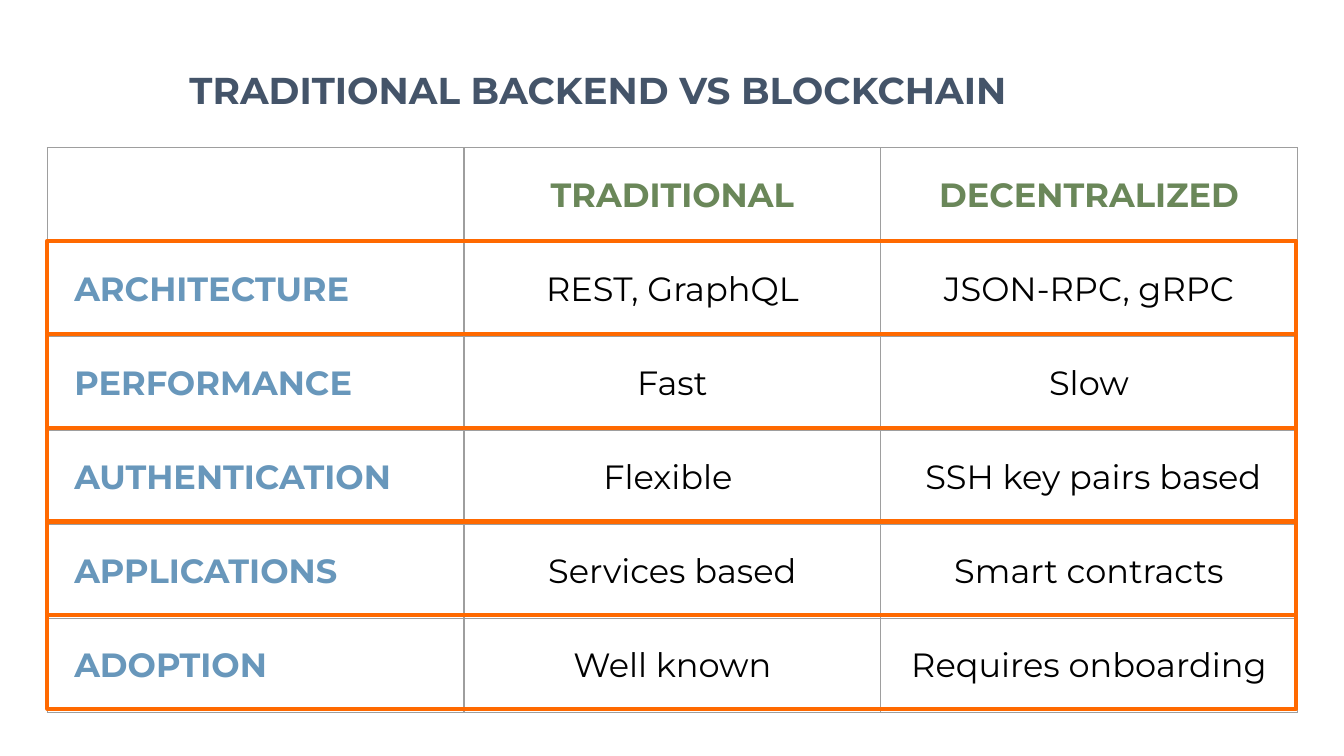
from dataclasses import dataclass

import pptx
import pptx.dml.color
import pptx.enum.shapes
import pptx.enum.text
import pptx.oxml
import pptx.oxml.ns
import pptx.presentation
import pptx.slide
import pptx.table
import pptx.text.text
import pptx.util

Pt = pptx.util.Pt
Align = pptx.enum.text.PP_ALIGN


@dataclass(frozen=True)
class Theme:
    font: str = "Montserrat"
    title: str = "445469"
    heading: str = "6A8759"
    label: str = "6897BB"
    body: str = "000000"
    grid: str = "9E9E9E"
    frame: str = "FF6900"
    title_size: float = 20
    table_size: float = 18
    grid_width: float = 0.75
    frame_width: float = 2.25


@dataclass(frozen=True)
class Grid:
    left: float
    top: float
    column_width: float
    row_height: float
    inset: float


@dataclass(frozen=True)
class Comparison:
    topic: str
    traditional: str
    decentralized: str


THEME = Theme()
GRID = Grid(left=25.4, top=79.2, column_width=223.2, row_height=50.4, inset=14.4)
FRAME_TOP, FRAME_STEP, FRAME_WIDTH = 129, 50.15, 669
HEADINGS = ("", "TRADITIONAL", "DECENTRALIZED")
COMPARISONS = (
    Comparison("ARCHITECTURE", "REST, GraphQL", "JSON-RPC, gRPC"),
    Comparison("PERFORMANCE", "Fast", "Slow"),
    Comparison("AUTHENTICATION", "Flexible ", " SSH key pairs based"),
    Comparison("APPLICATIONS", "Services based", "Smart contracts"),
    Comparison("ADOPTION", "Well known", "Requires onboarding"),
)


def rgb(color: str) -> pptx.dml.color.RGBColor:
    return pptx.dml.color.RGBColor.from_string(color)


def write(frame: pptx.text.text.TextFrame, text: str, size: float, color: str,
          bold: bool, align: Align) -> None:
    frame.text = text
    para = frame.paragraphs[0]
    para.alignment = align
    for span in para.runs:
        span.font.name = THEME.font
        span.font.size = Pt(size)
        span.font.bold = bold
        span.font.color.rgb = rgb(color)


def add_title(page: pptx.slide.Slide, text: str) -> None:
    box = page.shapes.add_textbox(Pt(83.5), Pt(22.3), Pt(473.8), Pt(36))
    frame = box.text_frame
    frame.word_wrap = True
    frame.margin_left = frame.margin_right = Pt(2.9)
    frame.margin_top = frame.margin_bottom = Pt(1.4)
    write(frame, text, THEME.title_size, THEME.title, True, Align.CENTER)
    frame.paragraphs[0].line_spacing = 1.52


def outline_cell(cell: pptx.table._Cell) -> None:
    properties = cell._tc.get_or_add_tcPr()
    for side in ("lnL", "lnR", "lnT", "lnB"):
        properties.append(pptx.oxml.parse_xml(
            f'<a:{side} {pptx.oxml.ns.nsdecls("a")} w="{Pt(THEME.grid_width)}">'
            f'<a:solidFill><a:srgbClr val="{THEME.grid}"/></a:solidFill></a:{side}>'))
    cell.fill.background()


def add_comparison_table(page: pptx.slide.Slide) -> None:
    rows = [HEADINGS] + [(c.topic, c.traditional, c.decentralized) for c in COMPARISONS]
    columns = len(HEADINGS)
    table = page.shapes.add_table(
        len(rows), columns, Pt(GRID.left), Pt(GRID.top),
        Pt(GRID.column_width * columns), Pt(GRID.row_height * len(rows))).table
    table.first_row = table.horz_banding = False
    for column in table.columns:
        column.width = Pt(GRID.column_width)
    for row_index, texts in enumerate(rows):
        table.rows[row_index].height = Pt(GRID.row_height)
        for column_index, text in enumerate(texts):
            cell = table.cell(row_index, column_index)
            outline_cell(cell)
            cell.margin_left = cell.margin_right = Pt(GRID.inset)
            cell.margin_top = cell.margin_bottom = Pt(GRID.inset)
            cell.vertical_anchor = pptx.enum.text.MSO_ANCHOR.MIDDLE
            is_heading, is_label = row_index == 0, column_index == 0
            color = THEME.heading if is_heading else THEME.label if is_label else THEME.body
            write(cell.text_frame, text, THEME.table_size, color,
                  is_heading or is_label, Align.LEFT if is_label else Align.CENTER)


def add_row_frame(page: pptx.slide.Slide, top: float) -> None:
    frame = page.shapes.add_shape(
        pptx.enum.shapes.MSO_SHAPE.RECTANGLE,
        Pt(GRID.left), Pt(top), Pt(FRAME_WIDTH), Pt(FRAME_STEP))
    frame.shadow.inherit = False
    frame.fill.background()
    frame.line.color.rgb = rgb(THEME.frame)
    frame.line.width = Pt(THEME.frame_width)


def main() -> None:
    deck = pptx.Presentation()
    deck.slide_width, deck.slide_height = Pt(720), Pt(405)
    page = deck.slides.add_slide(deck.slide_layouts[6])
    add_title(page, "TRADITIONAL BACKEND VS BLOCKCHAIN")
    add_comparison_table(page)
    for index in range(len(COMPARISONS)):
        add_row_frame(page, FRAME_TOP + index * FRAME_STEP)
    deck.save("out.pptx")


if __name__ == "__main__":
    main()
